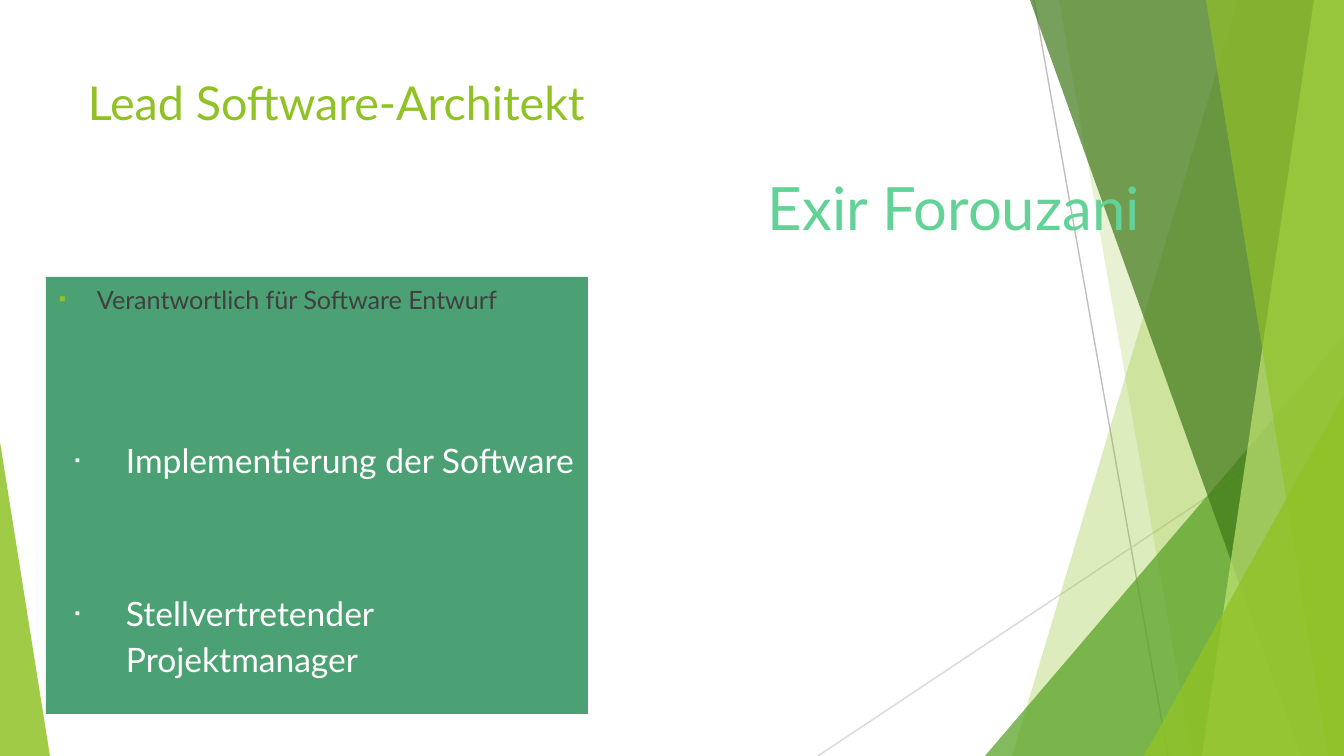
from typing import NamedTuple

from lxml.etree import SubElement
from pptx import Presentation
from pptx.dml.color import RGBColor
from pptx.enum.shapes import MSO_CONNECTOR as Connector, MSO_SHAPE as Shape
from pptx.enum.text import MSO_ANCHOR as Anchor, PP_ALIGN as Align
from pptx.oxml.ns import qn
from pptx.util import Emu, Pt

EMU_PER_PX = 914400 / 134.4
WIDTH, HEIGHT = 1344, 756
FONT = "Lato"
LIME, GREEN, FOREST, PALE = "90C226", "54A021", "3F7819", "C0E474"
PANEL, MINT, WHITE, GREY = "4BA173", "63D297", "FFFFFF", "404040"


class Line(NamedTuple):
    start: tuple[int, int]
    end: tuple[int, int]
    color: str


class Facet(NamedTuple):
    points: list[tuple[int, int]]
    color: str
    opacity: int


class Bullet(NamedTuple):
    color: str
    percent: int
    margin: int
    hanging: int


class Duty(NamedTuple):
    text: str
    height: int
    size: float
    color: str
    bullet: Bullet
    inset: int
    spacing: float


def px(length: int) -> Emu:
    return Emu(round(length * EMU_PER_PX))


def rgb(color: str) -> RGBColor:
    return RGBColor.from_string(color)


def draw_line(slide, line: Line) -> None:
    connector = slide.shapes.add_connector(
        Connector.STRAIGHT, *map(px, line.start + line.end))
    connector.line.color.rgb = rgb(line.color)
    connector.line.width = Pt(0.75)
    SubElement(connector._element.spPr, qn("a:effectLst"))


def fill_shape(shape, color: str) -> None:
    shape.shadow.inherit = False
    shape.fill.solid()
    shape.fill.fore_color.rgb = rgb(color)
    shape.line.fill.background()


def draw_facet(slide, facet: Facet) -> None:
    first, *others = facet.points
    builder = slide.shapes.build_freeform(*first, scale=EMU_PER_PX)
    builder.add_line_segments(others, close=True)
    shape = builder.convert_to_shape()
    fill_shape(shape, facet.color)
    color = shape._element.spPr.find(qn("a:solidFill"))[0]
    SubElement(color, qn("a:alpha"), val=str(facet.opacity * 1000))


def add_bullet(paragraph, bullet: Bullet) -> None:
    properties = paragraph._p.get_or_add_pPr()
    properties.set("marL", str(px(bullet.margin)))
    properties.set("indent", str(-px(bullet.hanging)))
    color = SubElement(properties, qn("a:buClr"))
    SubElement(color, qn("a:srgbClr"), val=bullet.color)
    SubElement(properties, qn("a:buSzPct"), val=str(bullet.percent * 1000))
    SubElement(properties, qn("a:buFont"), typeface="Arial")
    SubElement(properties, qn("a:buChar"), char="▪")


def write_text(shape, text: str, *, size: float, color: str, inset: int = 7,
               spacing: float = 1.0, bullet: Bullet | None = None) -> None:
    frame = shape.text_frame
    frame.word_wrap = True
    frame.vertical_anchor = Anchor.TOP
    frame.margin_left = frame.margin_right = px(13)
    frame.margin_top = frame.margin_bottom = px(inset)
    paragraph = frame.paragraphs[0]
    paragraph.alignment = Align.LEFT
    paragraph.line_spacing = spacing
    if bullet:
        add_bullet(paragraph, bullet)
    run = paragraph.add_run()
    run.text = text
    run.font.name = FONT
    run.font.size = Pt(size)
    run.font.color.rgb = rgb(color)


def draw_duties(slide, duties: list[Duty], left: int, top: int, width: int) -> None:
    for duty in duties:
        panel = slide.shapes.add_shape(
            Shape.RECTANGLE, *map(px, (left, top, width, duty.height)))
        fill_shape(panel, PANEL)
        write_text(panel, duty.text, size=duty.size, color=duty.color,
                   inset=duty.inset, spacing=duty.spacing, bullet=duty.bullet)
        top += duty.height


LINES = [
    Line((1034, 0), (1168, HEIGHT), "BFBFBF"),
    Line((WIDTH, 406), (818, HEIGHT), "D9D9D9"),
]


def right_band(top: int, bottom: int) -> list[tuple[int, int]]:
    """Outline from a slanted left edge to the right side of the slide."""
    return [(top, 0), (WIDTH, 0), (WIDTH, HEIGHT), (bottom, HEIGHT)]


def right_corner(left: int, top: int) -> list[tuple[int, int]]:
    """Triangle in the bottom right corner of the slide."""
    return [(left, HEIGHT), (WIDTH, top), (WIDTH, HEIGHT)]


FACETS = [
    Facet(right_band(1238, 1012), LIME, 30),
    Facet(right_band(1059, 1192), LIME, 20),
    Facet(right_corner(985, 336), GREEN, 72),
    Facet(right_band(1030, 1301), FOREST, 70),
    Facet(right_band(1314, 1202), PALE, 70),
    Facet(right_band(1206, 1328), LIME, 65),
    Facet(right_corner(1144, 395), LIME, 80),
    Facet([(0, HEIGHT), (0, 442), (50, HEIGHT)], LIME, 85),
]

SMALL_BULLET = Bullet(LIME, 80, 38, 38)
WHITE_BULLET = Bullet(WHITE, 45, 67, 51)
DUTIES = [
    Duty("Verantwortlich für Software Entwurf", 144, 13.5, GREY, SMALL_BULLET, 7, 1.0),
    Duty("Implementierung der Software", 153, 18, WHITE, WHITE_BULLET, 13, 1.15),
    Duty("Stellvertretender Projektmanager", 140, 18, WHITE, WHITE_BULLET, 13, 1.15),
]


def main() -> None:
    presentation = Presentation()
    presentation.slide_width, presentation.slide_height = px(WIDTH), px(HEIGHT)
    slide = presentation.slides.add_slide(presentation.slide_layouts[6])

    # Faceted background
    for line in LINES:
        draw_line(slide, line)
    for facet in FACETS:
        draw_facet(slide, facet)

    # Role, duties and name
    title = slide.shapes.add_textbox(*map(px, (75, 67, 948, 145)))
    write_text(title, "Lead Software-Architekt", size=25, color=LIME)
    draw_duties(slide, DUTIES, left=46, top=277, width=542)
    name = slide.shapes.add_textbox(*map(px, (755, 164, 543, 86)))
    write_text(name, "Exir Forouzani", size=32, color=MINT)

    presentation.save("out.pptx")


if __name__ == "__main__":
    main()
